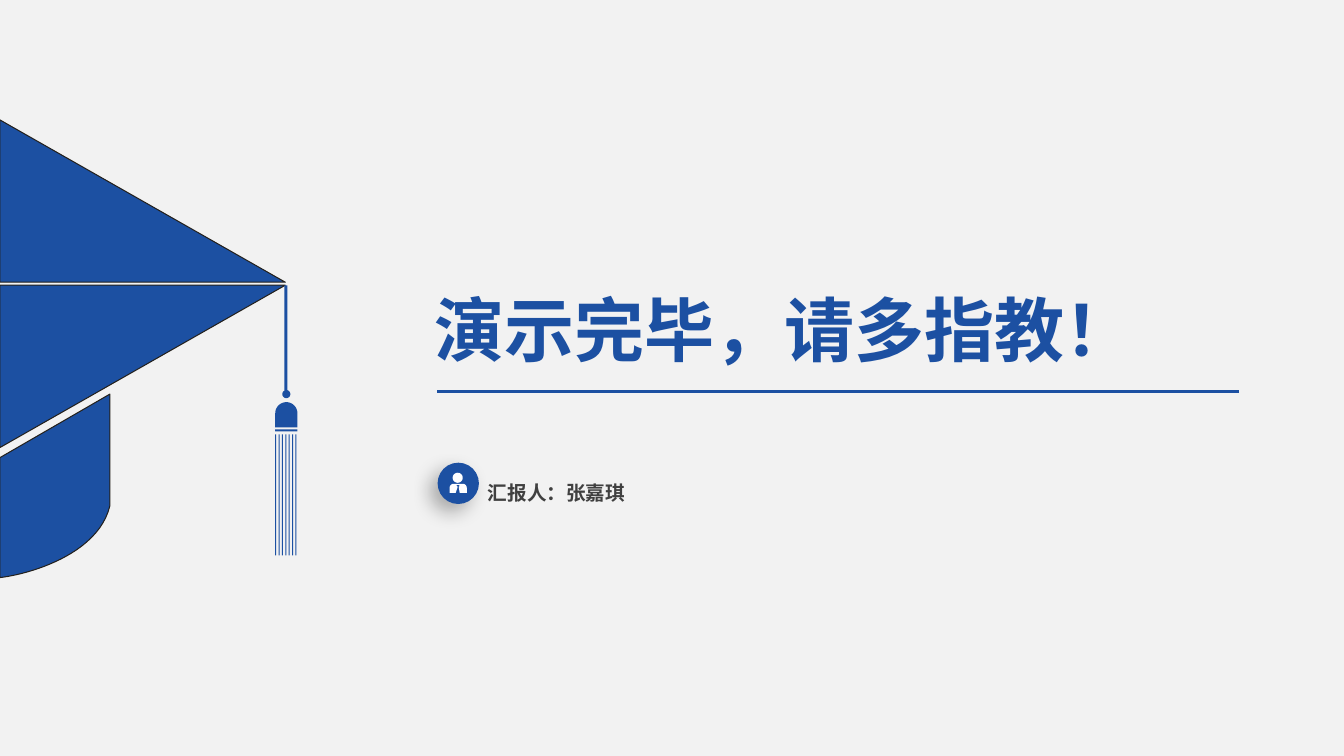
import math

from lxml import etree
from pptx import Presentation
from pptx import util as u
from pptx.dml.color import RGBColor
from pptx.enum import shapes, text
from pptx.oxml import parse_xml
from pptx.oxml.ns import nsdecls, qn

BLUE = RGBColor(0x1C, 0x50, 0xA2)
INK = RGBColor(0x24, 0x21, 0x1D)
GREY = RGBColor(0x40, 0x40, 0x40)
WHITE = RGBColor(0xFF, 0xFF, 0xFF)
PAPER = RGBColor(0xF2, 0xF2, 0xF2)
CJK = "Noto Sans CJK SC"


def apply(target, values):
    for name, value in values.items():
        setattr(target, name, value)


def box(left, top, right, bottom):
    return [(left, top), (right, top), (right, bottom), (left, bottom)]


def arc(x, y, radius, start=0, end=360, steps=24):
    angles = [math.radians(start + (end - start) * i / steps) for i in range(steps + 1)]
    return [(x + radius * math.cos(a), y + radius * math.sin(a)) for a in angles]


def bezier(*controls, steps=24):
    points = []
    for t in (i / steps for i in range(steps + 1)):
        weights = ((1 - t) ** 3, 3 * t * (1 - t) ** 2, 3 * t * t * (1 - t), t ** 3)
        points.append(tuple(sum(w * c[axis] for w, c in zip(weights, controls))
                            for axis in (0, 1)))
    return points


class SlideBuilder:
    """Hold the style and the current slide and draw each kind of element."""

    def __init__(self, presentation):
        layout = presentation.slide_layouts.get_by_name("Title Only")
        self.slide = presentation.slides.add_slide(layout)
        self.shapes = self.slide.shapes
        self.slide.background.fill.solid()
        self.slide.background.fill.fore_color.rgb = PAPER

    def start_group(self):
        self.shapes = self.slide.shapes.add_group_shape().shapes

    def set_text(self, shape, words, size, font, color, **frame_values):
        frame = shape.text_frame
        apply(frame, {"word_wrap": True, "vertical_anchor": text.MSO_ANCHOR.TOP,
                      "auto_size": text.MSO_AUTO_SIZE.SHAPE_TO_FIT_TEXT, **frame_values})
        paragraph = frame.paragraphs[0]
        paragraph.alignment = text.PP_ALIGN.LEFT
        run = paragraph.add_run()
        run.text = words
        apply(run.font, {"size": u.Pt(size), "bold": True, "name": font})
        run.font.color.rgb = color
        etree.SubElement(run.font._element, qn("a:ea"), typeface=CJK)

    def title(self, words, left, top, width, height):
        shape = self.slide.shapes.title
        apply(shape, {"left": u.Inches(left), "top": u.Inches(top),
                      "width": u.Inches(width), "height": u.Inches(height)})
        side, edge = u.Inches(0.07), u.Inches(0.04)
        self.set_text(shape, words, 50, CJK, BLUE, margin_left=side, margin_right=side,
                      margin_top=edge, margin_bottom=edge)

    def label(self, words, *bounds):
        shape = self.shapes.add_textbox(*map(u.Inches, bounds))
        self.set_text(shape, words, 14, "Arial", GREY)

    def paint(self, shape, fill, outline=None):
        shape.shadow.inherit = False
        shape.fill.solid()
        shape.fill.fore_color.rgb = fill
        if outline is None:
            shape.line.fill.background()
        else:
            shape.line.color.rgb = outline
            shape.line.width = u.Pt(0)

    def rule(self, *ends):
        line = self.shapes.add_connector(shapes.MSO_CONNECTOR.STRAIGHT, *map(u.Inches, ends))
        line.line.color.rgb = BLUE
        line.line.width = u.Pt(2.25)
        etree.SubElement(line._element.spPr, qn("a:effectLst"))

    def outline(self, contours, fill, line=None):
        builder = None
        for contour in contours:
            start, *rest = [(u.Inches(x), u.Inches(y)) for x, y in contour]
            if builder is None:
                builder = self.shapes.build_freeform(*start)
            else:
                builder.move_to(*start)
            builder.add_line_segments(rest, close=True)
        self.paint(builder.convert_to_shape(), fill, line)

    def badge(self, *bounds):
        disc = self.shapes.add_shape(shapes.MSO_SHAPE.OVAL, *map(u.Inches, bounds))
        self.paint(disc, BLUE)
        effects = disc._element.spPr.find(qn("a:effectLst"))
        effects.append(parse_xml(
            f'<a:outerShdw {nsdecls("a")} blurRad="{u.Pt(14)}" dist="{u.Pt(8)}" '
            'dir="8100000" algn="tr" rotWithShape="0"><a:srgbClr val="000000">'
            '<a:alpha val="30000"/></a:srgbClr></a:outerShdw>'))


def main():
    presentation = Presentation()
    apply(presentation, {"slide_width": u.Inches(13.33), "slide_height": u.Inches(7.5)})
    builder = SlideBuilder(presentation)
    builder.title("演示完毕，请多指教！", 4.24, 2.8, 9.24, 0.92)
    builder.rule(12.29, 3.88, 4.33, 3.88)

    board_top = [(0, 1.19), (2.83, 2.8), (0, 2.8)]
    board_bottom = [(2.83, 2.83), (0, 4.44), (0, 2.83)]
    crown = bezier((1.09, 5.02), (0.97, 5.51), (0.27, 5.7), (0, 5.73)) + [(0, 4.54), (1.09, 3.91)]
    builder.outline([board_top, board_bottom, crown], BLUE, INK)

    left, right, middle = 2.73, 2.95, 2.84
    cord = box(2.82, 2.83, 2.85, 3.87)
    knot = arc(middle, 3.91, 0.04)
    dome = arc(middle, 4.1, 0.11, 180, 360) + [(right, 4.24), (left, 4.24)]
    band = box(left, 4.26, right, 4.28)
    strand_lefts = [left + 0.2 * i / 6 for i in range(7)]
    strands = [box(x, 4.31, x + 0.01, 5.51) for x in strand_lefts]
    builder.outline([cord, knot, dome, band, *strands], BLUE)

    builder.start_group()
    builder.badge(4.34, 4.59, 0.41, 0.41)
    shoulders = arc(4.5, 4.84, 0.04, 180, 270) + arc(4.59, 4.84, 0.04, 270, 360)
    tie = [(4.56, 4.89), (4.55, 4.83), (4.56, 4.82), (4.55, 4.81),
           (4.53, 4.81), (4.53, 4.82), (4.54, 4.83), (4.52, 4.89)]
    jacket = shoulders + [(4.63, 4.89)] + tie + [(4.46, 4.89)]
    builder.outline([jacket, arc(4.54, 4.74, 0.05)], WHITE)
    builder.label("汇报人：张嘉琪", 4.74, 4.72, 2.04, 0.34)

    presentation.save("out.pptx")


if __name__ == "__main__":
    main()
